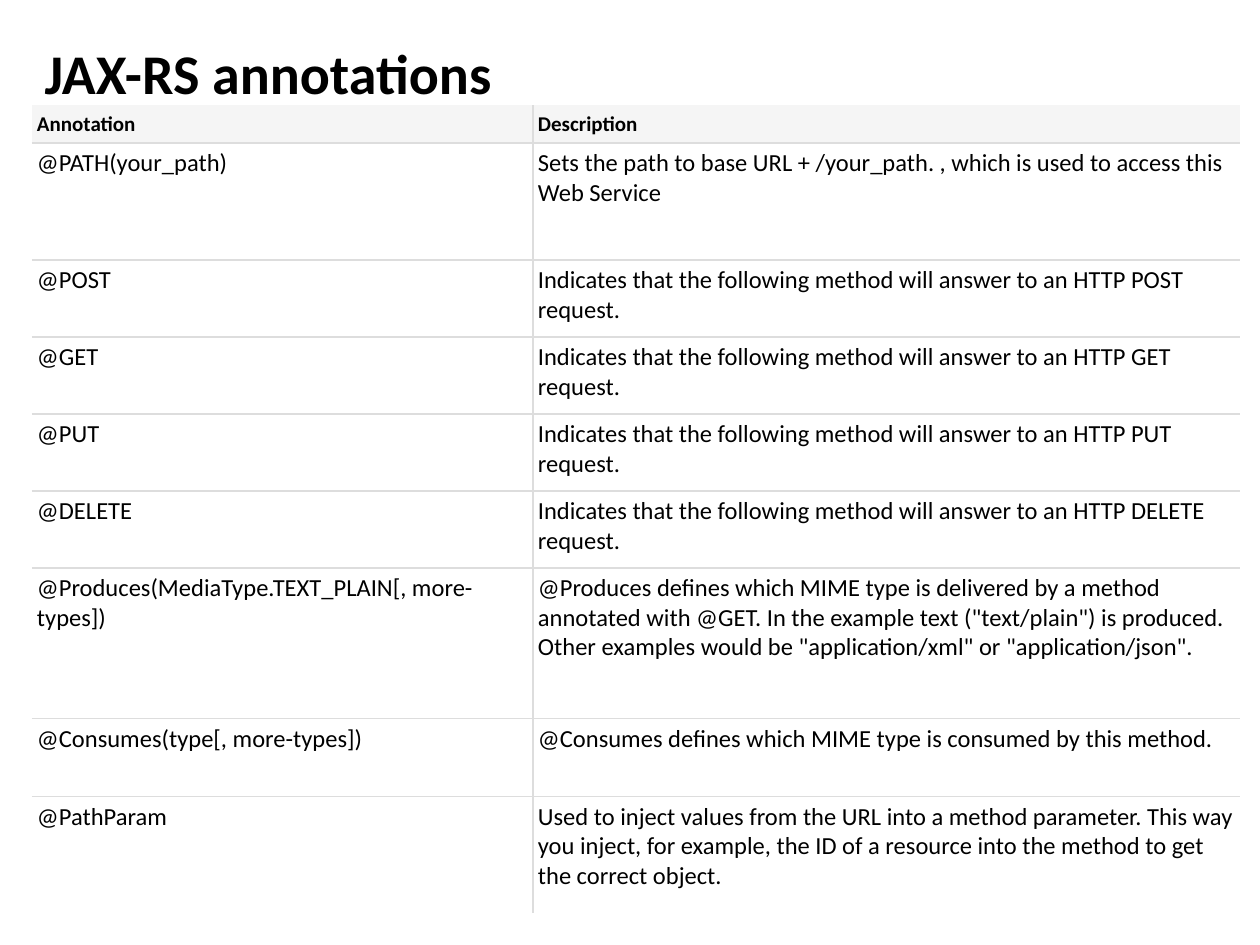
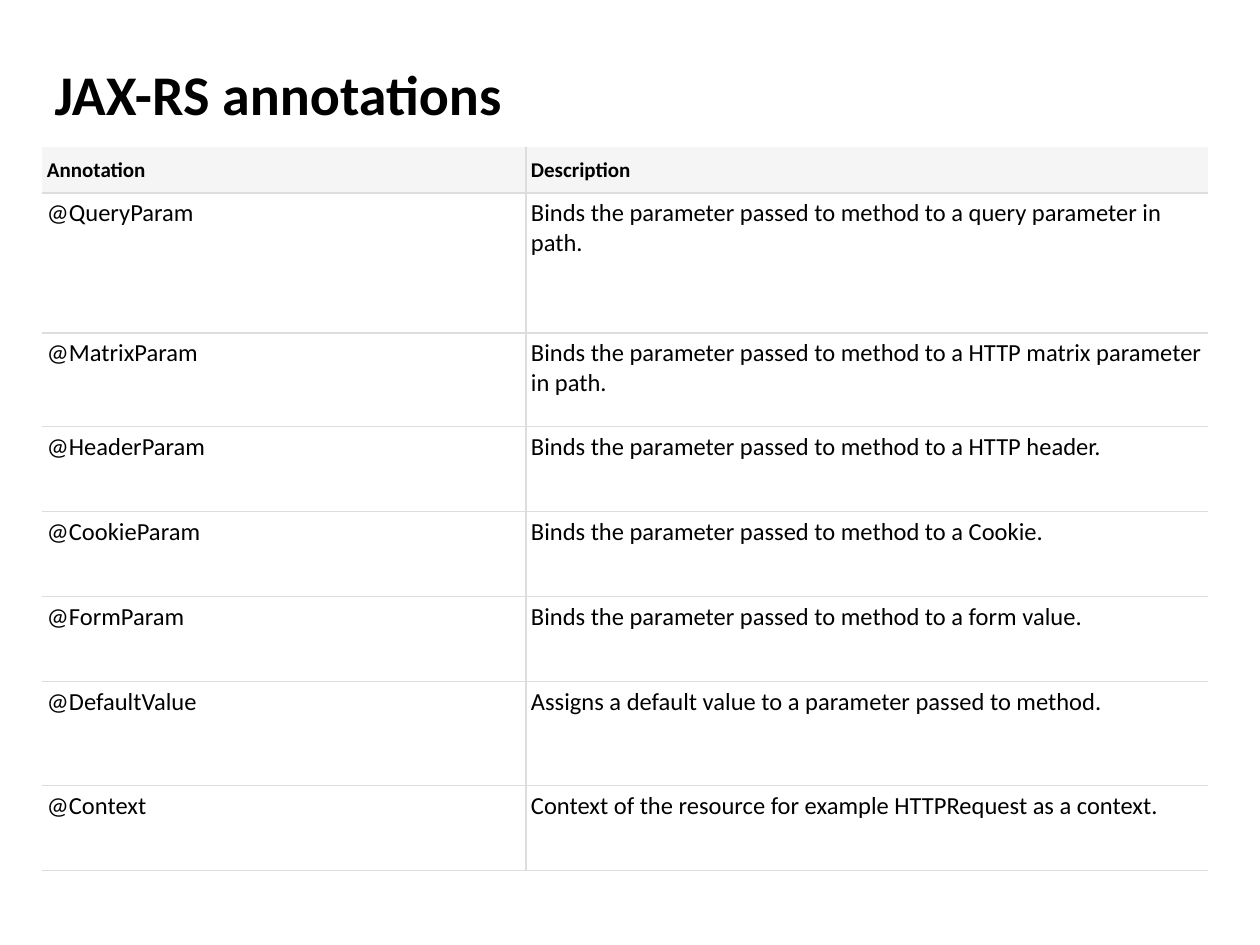
"""Build two slides that list the JAX-RS annotations in ruled tables."""
import pptx
import pptx.dml.color
import pptx.enum.text
import pptx.oxml
import pptx.oxml.ns
import pptx.util

PX = 914400 // 126
RGB = pptx.dml.color.RGBColor.from_string
ANCHOR = pptx.enum.text.MSO_ANCHOR
THEME = {
    "font": "Calibri",
    "text": RGB("000000"),
    "header": RGB("F5F5F5"),
    "body": RGB("FFFFFF"),
    "rule": "DDDDDD",
    "rule_pt": 0.75,
    "title_pt": 32,
    "header_pt": 12,
    "body_pt": 14,
}
HEADINGS = ("Annotation", "Description")
VERB = "Indicates that the following method will answer to an HTTP {} request."
BIND = "Binds the parameter passed to method to a {}."

slides = [
    {
        "title": (32, 32, 976, 118),
        "table": (32, 105),
        "cols": (501, 707),
        "header": 38,
        "closed": False,
        "rows": [
            (117, "@PATH(your_path)",
             "Sets the path to base URL + /your_path. , which is used to access this Web Service"),
            *[(77, "@" + verb, VERB.format(verb)) for verb in ("POST", "GET", "PUT", "DELETE")],
            (151, "@Produces(MediaType.TEXT_PLAIN[, more-types])",
             "@Produces defines which MIME type is delivered by a method annotated with @GET. "
             'In the example text ("text/plain") is produced. '
             'Other examples would be "application/xml" or "application/json".'),
            (78, "@Consumes(type[, more-types])",
             "@Consumes defines which MIME type is consumed by this method."),
            (116, "@PathParam",
             "Used to inject values from the URL into a method parameter. This way you inject, "
             "for example, the ID of a resource into the method to get the correct object."),
        ],
    },
    {
        "title": (42, 53, 976, 118),
        "table": (42, 147),
        "cols": (484, 682),
        "header": 46,
        "closed": True,
        "rows": [
            (140, "@QueryParam", BIND.format("query parameter in path")),
            (94, "@MatrixParam", BIND.format("HTTP matrix parameter in path")),
            (85, "@HeaderParam", BIND.format("HTTP header")),
            (85, "@CookieParam", BIND.format("Cookie")),
            (85, "@FormParam", BIND.format("form value")),
            (104, "@DefaultValue", "Assigns a default value to a parameter passed to method."),
            (85, "@Context", "Context of the resource for example HTTPRequest as a context."),
        ],
    },
]


def write(tf, text, size, bold):
    p = tf.paragraphs[0]
    p.alignment = pptx.enum.text.PP_ALIGN.LEFT
    r = p.add_run()
    r.text = text
    r.font.color.rgb = THEME["text"]
    style = {"name": THEME["font"], "size": pptx.util.Pt(size), "bold": bold}
    for name, value in style.items():
        setattr(r.font, name, value)


def rule(cell, side, shown):
    width = pptx.util.Pt(THEME["rule_pt"])
    paint = "<a:noFill/>"
    if shown:
        paint = f'<a:solidFill><a:srgbClr val="{THEME["rule"]}"/></a:solidFill>'
    tag = f"a:ln{side}"
    xml = f'<{tag} {pptx.oxml.ns.nsdecls("a")} w="{width}">{paint}</{tag}>'
    cell._tc.get_or_add_tcPr().append(pptx.oxml.parse_xml(xml))


prs = pptx.Presentation()
prs.slide_width, prs.slide_height = 1260 * PX, 945 * PX

for page in slides:
    slide = prs.slides.add_slide(prs.slide_layouts[5])
    sp = slide.shapes.title
    for name, value in zip(("left", "top", "width", "height"), page["title"]):
        setattr(sp, name, value * PX)
    tf = sp.text_frame
    frame = {
        "vertical_anchor": ANCHOR.TOP,
        "word_wrap": True,
        "auto_size": pptx.enum.text.MSO_AUTO_SIZE.NONE,
    }
    for name, value in frame.items():
        setattr(tf, name, value)
    write(tf, "JAX-RS annotations", THEME["title_pt"], True)

    rows = [(page["header"], *HEADINGS), *page["rows"]]
    last = len(rows) - 1
    left, top = page["table"]
    width, height = sum(page["cols"]), sum(row[0] for row in rows)
    table = slide.shapes.add_table(
        len(rows), 2, left * PX, top * PX, width * PX, height * PX).table
    table.first_row = table.horz_banding = False
    for column, col_width in zip(table.columns, page["cols"]):
        column.width = col_width * PX

    for i, (row_height, *texts) in enumerate(rows):
        table.rows[i].height = row_height * PX
        head = i == 0
        for j, text in enumerate(texts):
            cell = table.cell(i, j)
            layout = {
                "margin_left": 5 * PX,
                "margin_right": 5 * PX,
                "margin_top": (4 if head else 5) * PX,
                "margin_bottom": 4 * PX,
                "vertical_anchor": ANCHOR.MIDDLE if head else ANCHOR.TOP,
            }
            for name, value in layout.items():
                setattr(cell, name, value)
            edges = {"L": j == 1, "R": j == 0, "T": not head, "B": i < last or page["closed"]}
            for side, shown in edges.items():
                rule(cell, side, shown)
            cell.fill.solid()
            cell.fill.fore_color.rgb = THEME["header" if head else "body"]
            write(cell.text_frame, text, THEME["header_pt" if head else "body_pt"], head)

prs.save("out.pptx")
